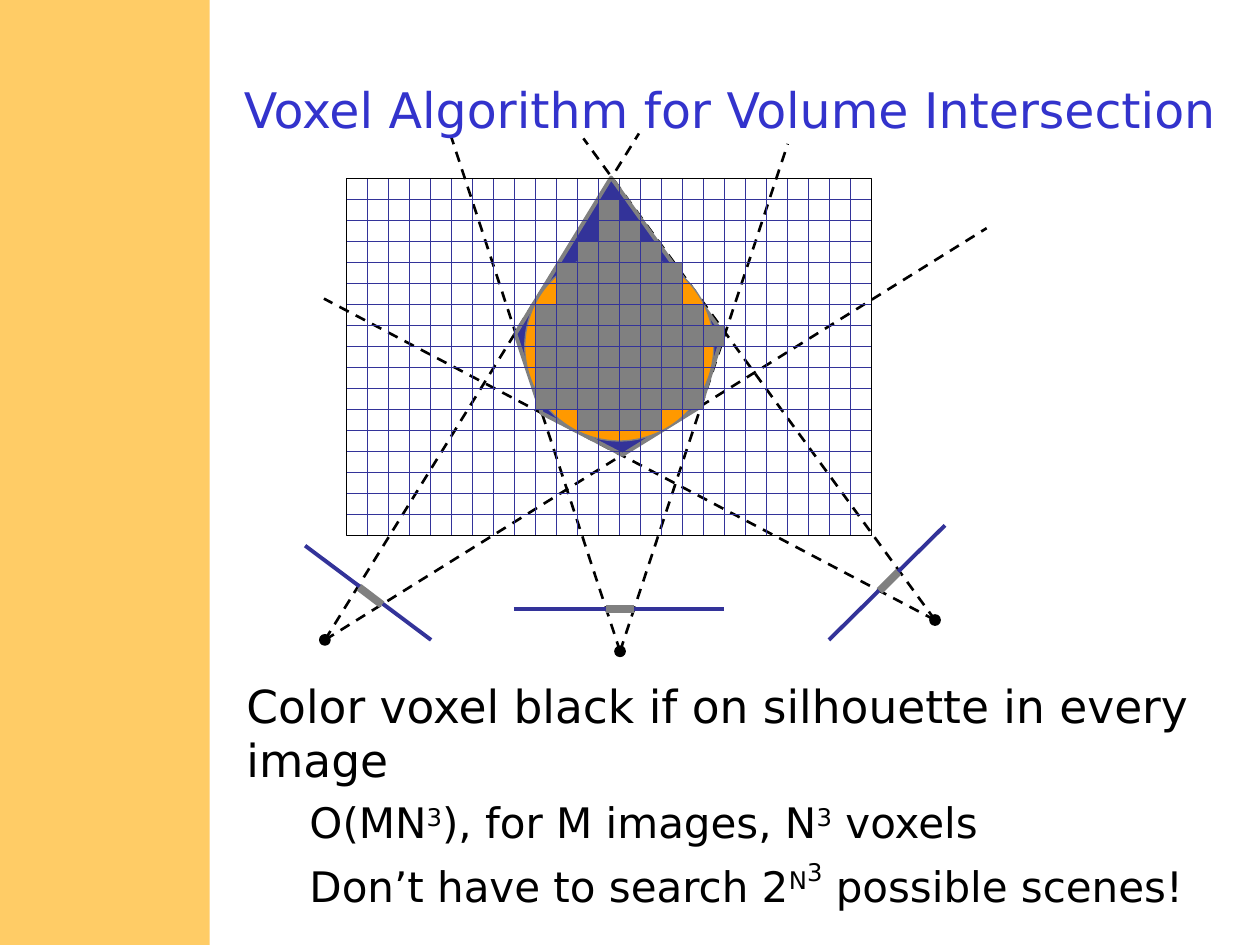
"""Build the slide on the voxel algorithm for volume intersection."""
from dataclasses import dataclass
from typing import Any, NamedTuple, Optional

from lxml import etree
from pptx import Presentation
from pptx.dml.color import RGBColor
from pptx.enum.dml import MSO_LINE
from pptx.enum.shapes import MSO_CONNECTOR, MSO_SHAPE
from pptx.enum.text import MSO_ANCHOR, PP_ALIGN
from pptx.oxml.ns import qn
from pptx.util import Cm, Pt

RECTANGLE = MSO_SHAPE.RECTANGLE
OVAL = MSO_SHAPE.OVAL
STRAIGHT = MSO_CONNECTOR.STRAIGHT
DASH = MSO_LINE.DASH
MIDDLE = MSO_ANCHOR.MIDDLE
TOP = MSO_ANCHOR.TOP
CENTER = PP_ALIGN.CENTER
LEFT = PP_ALIGN.LEFT

FONT = "DejaVu Sans"
COLORS = {
    "band": "FFCC66",
    "title": "3333CC",
    "ink": "000000",
    "navy": "333399",
    "gray": "808080",
    "object": "FF9900",
}


class Point(NamedTuple):
    x: float
    y: float


class Area(NamedTuple):
    left: float
    top: float
    width: float
    height: float


class Span(NamedTuple):
    text: str
    baseline: int = 0


@dataclass(frozen=True)
class Stroke:
    color: str
    width: float
    dash: Optional[MSO_LINE] = None


@dataclass(frozen=True)
class Camera:
    eye: Point
    ray_ends: tuple[Point, Point]
    plane: tuple[Point, Point]
    silhouette: tuple[Point, Point]


@dataclass(frozen=True)
class Paragraph:
    spans: tuple[Span, ...]
    size: float
    color: str = "ink"
    level: int = 0
    align: PP_ALIGN = LEFT
    space_before: float = 0


RAY = Stroke("ink", 1.5, DASH)
PLANE = Stroke("navy", 2.25)
SILHOUETTE = Stroke("gray", 4.5)
GRID_LINE = Stroke("navy", 0.75)
THIN_INK = Stroke("ink", 0.75)
HULL_EDGE = Stroke("gray", 2.25)
OBJECT_EDGE = Stroke("gray", 0.75)

CELL = 2.54 / 6
COLUMNS, ROWS = 25, 17
GRID = Area(6.99, 3.6, COLUMNS * CELL, ROWS * CELL)
VOXEL_ROWS = {
    9: (6, 10), 10: (4, 10), 11: (3, 11), 12: (1, 11), 13: (2, 11),
    14: (3, 11), 15: (4, 10), 16: (6, 10), 17: (7, 7),
}
EYE_SIZE = 0.21
HULL = (
    Point(10.92, 8.33), Point(12.55, 9.17), Point(14.12, 8.2),
    Point(14.58, 6.73), Point(12.32, 3.58), Point(10.39, 6.73),
)
CAMERAS = (
    Camera(Point(6.55, 12.9), (Point(12.88, 2.69), Point(19.89, 4.6)),
           (Point(6.15, 11), Point(8.69, 12.9)),
           (Point(7.24, 11.84), Point(7.7, 12.19))),
    Camera(Point(12.5, 13.13), (Point(9.09, 2.74), Point(15.88, 2.9)),
           (Point(10.36, 12.27), Point(14.6, 12.27)),
           (Point(12.22, 12.27), Point(12.78, 12.27))),
    Camera(Point(18.85, 12.5), (Point(6.53, 6.02), Point(11.76, 2.79)),
           (Point(19.05, 10.59), Point(16.71, 12.9)),
           (Point(17.73, 11.91), Point(18.11, 11.53))),
)
TITLE = (Paragraph((Span("Voxel Algorithm for Volume Intersection"),), 28, "title", align=CENTER),)
BODY = (
    Paragraph((Span("Color voxel black if on silhouette in every image"),), 26),
    Paragraph((Span("O(MN"), Span("3", 30), Span("), for M images, N"), Span("3", 30),
               Span(" voxels")), 24, level=1, space_before=5.6),
    Paragraph((Span("Don’t have to search 2"), Span("N", 30), Span("3", 50),
               Span(" possible scenes!")), 24, level=1, space_before=5.6),
)


def set_attributes(target: Any, values: dict[str, Any]) -> None:
    """Set every named attribute on the target."""
    for name, value in values.items():
        setattr(target, name, value)


def rgb(color: str) -> RGBColor:
    """Look up a named color."""
    return RGBColor.from_string(COLORS[color])


def apply_stroke(line: Any, stroke: Stroke) -> None:
    """Format a line or outline."""
    line.color.rgb = rgb(stroke.color)
    set_attributes(line, {"width": Pt(stroke.width), "dash_style": stroke.dash})


def style_shape(shape: Any, fill: Optional[str], stroke: Optional[Stroke]) -> None:
    """Set the fill and outline of a shape without a shadow."""
    shape.shadow.inherit = False
    if fill:
        shape.fill.solid()
        shape.fill.fore_color.rgb = rgb(fill)
    else:
        shape.fill.background()
    if stroke:
        apply_stroke(shape.line, stroke)
    else:
        shape.line.fill.background()


def draw_shape(shapes: Any, kind: MSO_SHAPE, area: Area, fill: Optional[str],
               stroke: Optional[Stroke] = None) -> None:
    """Draw a preset shape."""
    style_shape(shapes.add_shape(kind, *map(Cm, area)), fill, stroke)


def draw_line(shapes: Any, start: Point, end: Point, stroke: Stroke) -> None:
    """Draw a straight line without a shadow."""
    line = shapes.add_connector(STRAIGHT, *map(Cm, (*start, *end)))
    apply_stroke(line.line, stroke)
    etree.SubElement(line._element.spPr, qn("a:effectLst"))


def draw_hull(shapes: Any) -> None:
    """Draw the polygon where the viewing cones intersect."""
    start, *others = [(Cm(x), Cm(y)) for x, y in HULL]
    builder = shapes.build_freeform(*start)
    builder.add_line_segments(others, close=True)
    style_shape(builder.convert_to_shape(), "navy", HULL_EDGE)


def draw_text(shapes: Any, area: Area, paragraphs: tuple[Paragraph, ...], anchor: MSO_ANCHOR) -> None:
    """Write formatted paragraphs in a wrapping text box."""
    frame = shapes.add_textbox(*map(Cm, area)).text_frame
    set_attributes(frame, {"word_wrap": True, "vertical_anchor": anchor})
    for index, content in enumerate(paragraphs):
        para = frame.paragraphs[0] if index == 0 else frame.add_paragraph()
        set_attributes(para, {"alignment": content.align, "level": content.level,
                              "space_before": Pt(content.space_before)})
        if content.level:
            properties = para._p.get_or_add_pPr()
            properties.set("marL", str(Cm(2.06)))
            properties.set("indent", str(Cm(-0.79)))
        for span in content.spans:
            run = para.add_run()
            run.text = span.text
            set_attributes(run.font, {"name": FONT, "size": Pt(content.size)})
            run.font.color.rgb = rgb(content.color)
            if span.baseline:
                run._r.get_or_add_rPr().set("baseline", str(span.baseline * 1000))


def draw_grid(shapes: Any) -> None:
    """Draw the inner lines of the voxel grid."""
    right, bottom = GRID.left + GRID.width, GRID.top + GRID.height
    for row in range(1, ROWS):
        y = GRID.top + row * CELL
        draw_line(shapes, Point(GRID.left, y), Point(right, y), GRID_LINE)
    for column in range(1, COLUMNS):
        x = GRID.left + column * CELL
        draw_line(shapes, Point(x, GRID.top), Point(x, bottom), GRID_LINE)


def draw_voxels(shapes: Any) -> None:
    """Draw the voxels that lie on every silhouette."""
    for column, (first, last) in VOXEL_ROWS.items():
        for row in range(first, last + 1):
            area = Area(GRID.left + column * CELL, GRID.top + row * CELL, CELL, CELL)
            draw_shape(shapes, RECTANGLE, area, "gray", GRID_LINE)


def main() -> None:
    """Build and save the deck."""
    deck = Presentation()
    set_attributes(deck, {"slide_width": Cm(25.4), "slide_height": Cm(19.05)})
    page = deck.slides.add_slide(deck.slide_layouts[6])
    shapes = page.shapes
    draw_shape(shapes, RECTANGLE, Area(0, 0, 4.23, 19.05), "band")
    rays = shapes.add_group_shape().shapes
    for camera in CAMERAS:
        for end in camera.ray_ends:
            draw_line(rays, camera.eye, end, RAY)
    draw_hull(shapes)
    draw_text(shapes, Area(4.65, 1.07, 20.12, 2.24), TITLE, MIDDLE)
    draw_shape(shapes, OVAL, Area(10.58, 5.08, 3.81, 3.81), "object", OBJECT_EDGE)
    for camera in CAMERAS:
        draw_line(shapes, *camera.plane, PLANE)
        corner = (camera.eye.x - EYE_SIZE / 2, camera.eye.y - EYE_SIZE / 2)
        draw_shape(shapes, OVAL, Area(*corner, EYE_SIZE, EYE_SIZE), "ink", THIN_INK)
    draw_text(shapes, Area(4.72, 13.54, 20.68, 4.88), BODY, TOP)
    silhouettes = shapes.add_group_shape().shapes
    for camera in CAMERAS:
        draw_line(silhouettes, *camera.silhouette, SILHOUETTE)
    draw_grid(shapes.add_group_shape().shapes)
    draw_shape(shapes, RECTANGLE, GRID, None, THIN_INK)
    draw_voxels(shapes.add_group_shape().shapes)
    deck.save("out.pptx")


if __name__ == "__main__":
    main()
